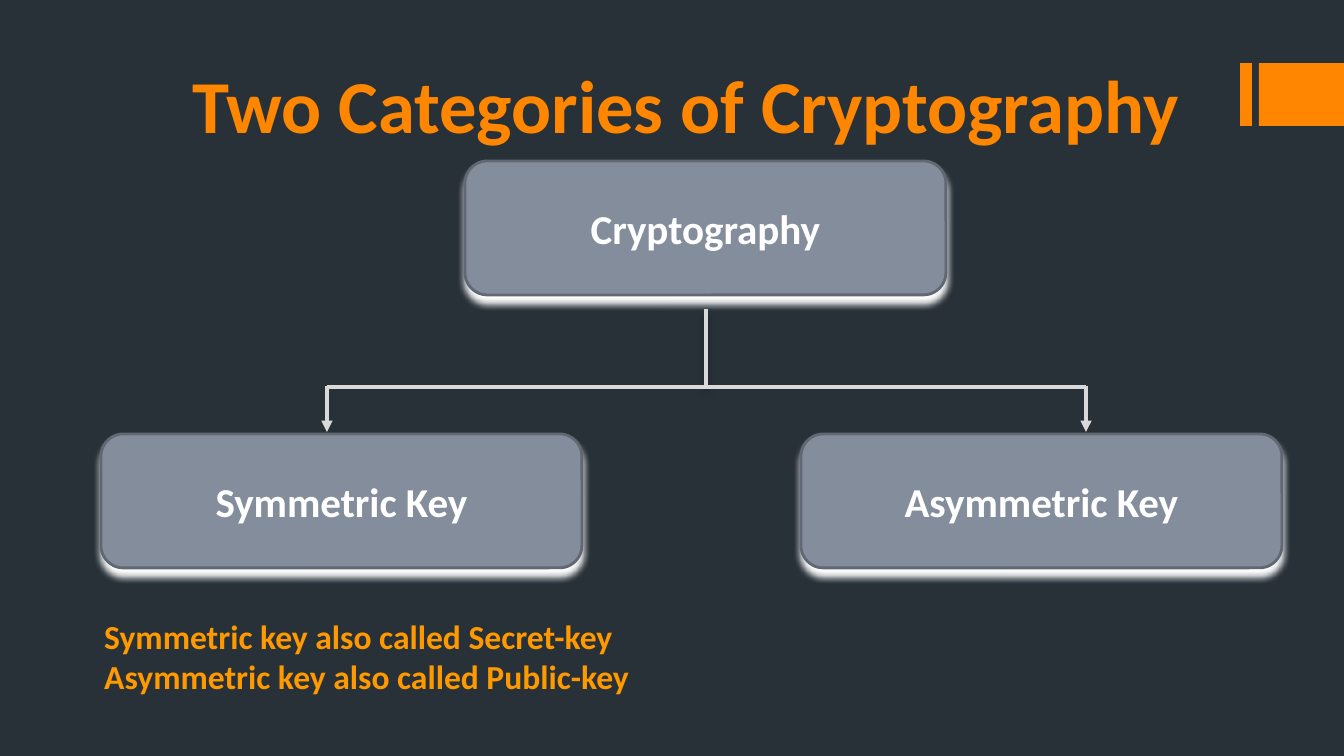
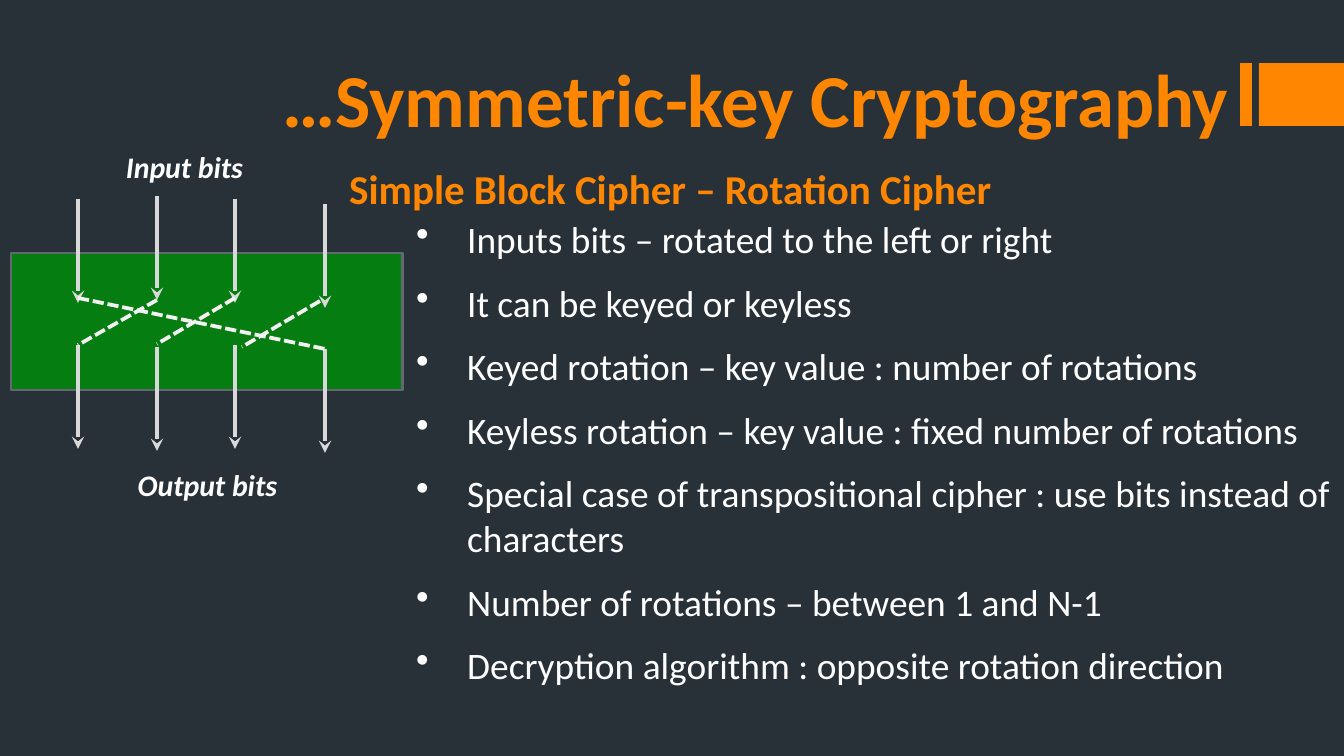
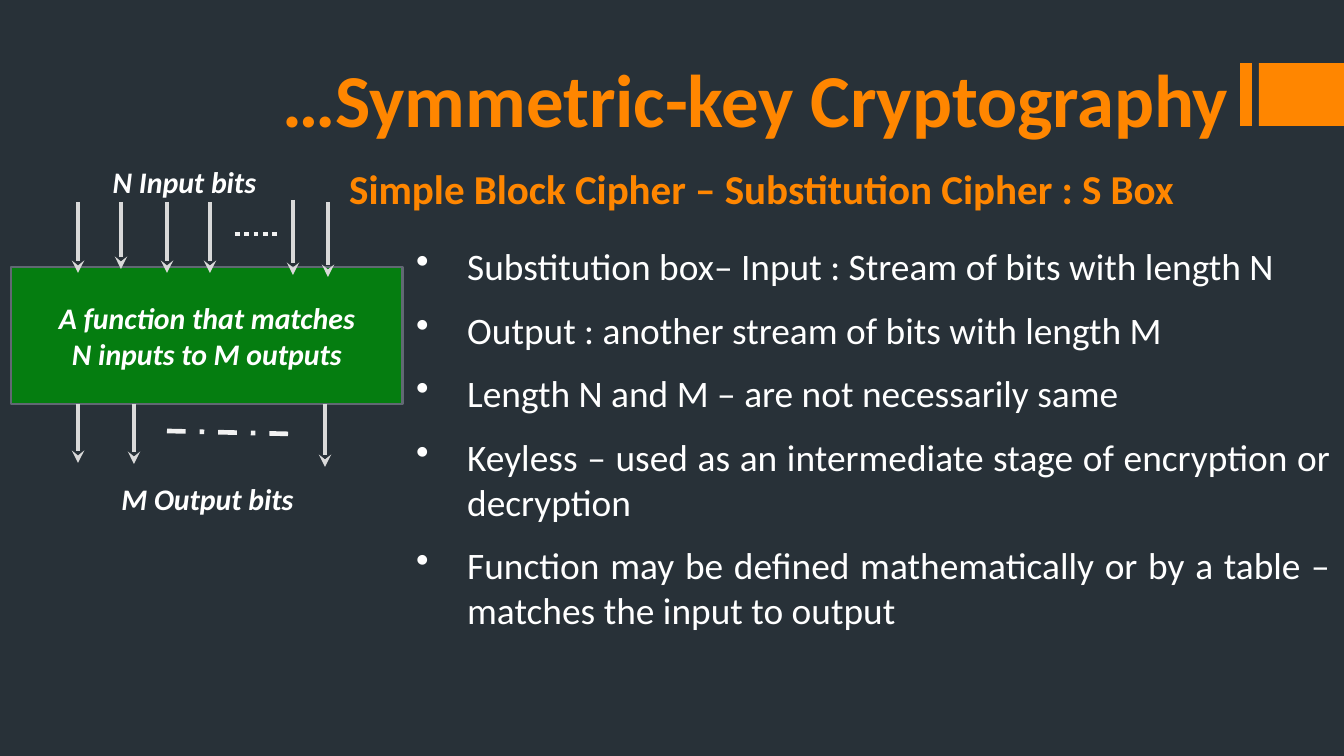
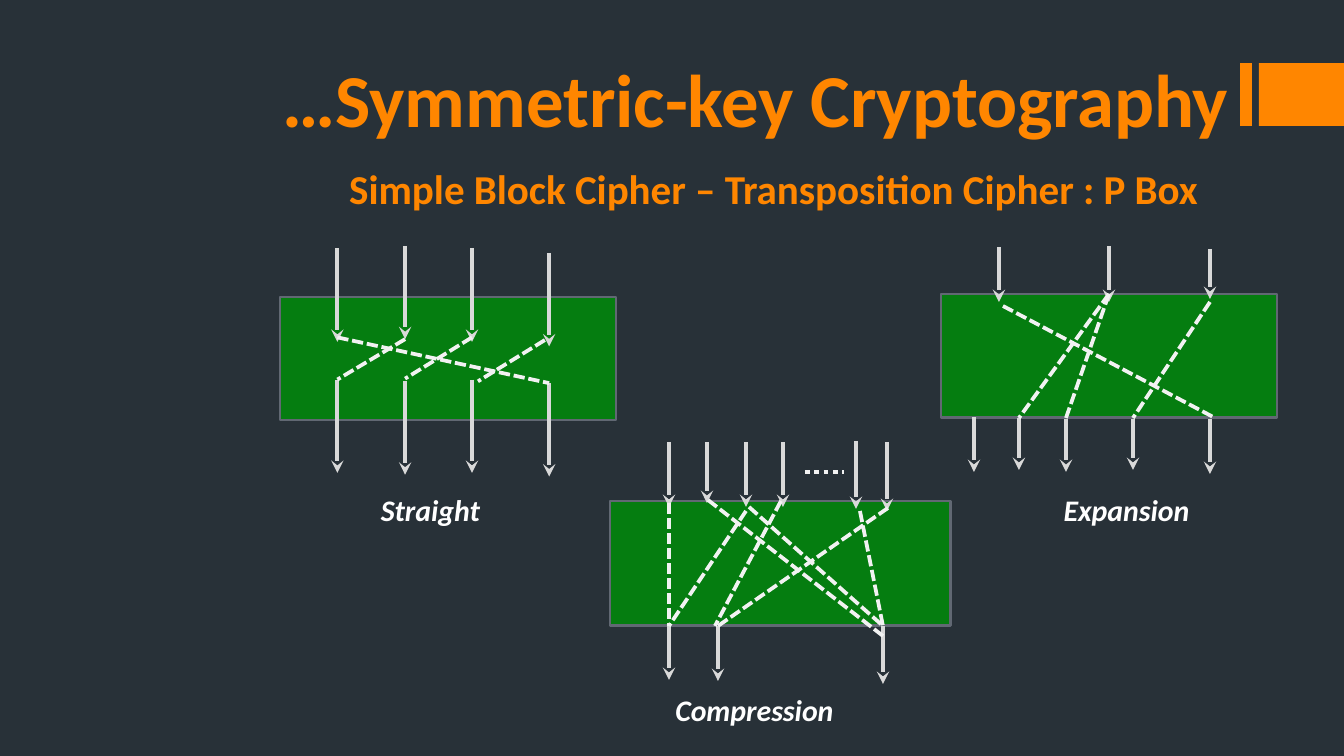
import lxml.etree
import pptx
import pptx.dml.color
import pptx.enum.dml
import pptx.enum.shapes
import pptx.enum.text
import pptx.oxml.ns
import pptx.util

PX = 914400 / 134.4
FONT = "Calibri"
BACKGROUND, ORANGE, AMBER, WHITE = "283138", "FF8600", "FF9900", "FFFFFF"
GREEN, SLATE, OUTLINE = "057D10", "838D9B", "616873"
ARROW, WIRE = "D9D9D9", "F2F2F2"

SHAPE = pptx.enum.shapes.MSO_SHAPE
DASH = pptx.enum.dml.MSO_LINE
ALIGN = pptx.enum.text.PP_ALIGN
ANCHOR = pptx.enum.text.MSO_ANCHOR
qn = pptx.oxml.ns.qn

TITLE_BOX = (179, 46, 1153, 188)
SYMMETRIC_TITLE = "…Symmetric-key Cryptography"
LABEL_HEIGHT = 50


def px(length):
    return pptx.util.Emu(round(length * PX))


def color(value):
    return pptx.dml.color.RGBColor.from_string(value)


def add_shadow(shape, shade, alpha, distance):
    """Drop a soft shadow straight down; lengths in points."""
    properties = shape.element.spPr
    effects = properties.find(qn("a:effectLst"))
    shadow = lxml.etree.SubElement(
        effects, qn("a:outerShdw"), blurRad=str(pptx.util.Pt(4)),
        dist=str(pptx.util.Pt(distance)), dir="5400000", rotWithShape="0")
    tone = lxml.etree.SubElement(shadow, qn("a:srgbClr"), val=shade)
    lxml.etree.SubElement(tone, qn("a:alpha"), val=str(alpha * 1000))


def write(frame, lines, size, shade=WHITE, bold=True, italic=False,
          align=ALIGN.LEFT, anchor=ANCHOR.TOP, bullets=False):
    frame.word_wrap = True
    frame.vertical_anchor = anchor
    for index, line in enumerate(lines):
        paragraph = frame.paragraphs[0] if index == 0 else frame.add_paragraph()
        paragraph.text = line
        paragraph.alignment = align
        if bullets:
            properties = paragraph._p.get_or_add_pPr()
            properties.set("marL", str(px(51)))
            properties.set("indent", str(px(-51)))
            lxml.etree.SubElement(properties, qn("a:buChar"), char="•")
        if index:
            paragraph.space_before = pptx.util.Pt(size / 2)
        font = paragraph.font
        font.name, font.size = FONT, pptx.util.Pt(size)
        font.bold, font.italic = bold, italic
        font.color.rgb = color(shade)


def add_text(parts, box, lines, size, **style):
    write(parts.add_textbox(*map(px, box)).text_frame, lines, size, **style)


def add_box(parts, kind, box, fill, outline=None):
    shape = parts.add_shape(kind, *map(px, box))
    shape.shadow.inherit = False
    shape.fill.solid()
    shape.fill.fore_color.rgb = color(fill)
    if outline:
        shape.line.color.rgb = color(outline)
        shape.line.width = pptx.util.Pt(1.5)
    else:
        shape.line.fill.background()
    return shape


def add_line(parts, start, end, shade, width, dash=None, tail=None):
    line = parts.add_connector(pptx.enum.shapes.MSO_CONNECTOR.STRAIGHT,
                               *map(px, (*start, *end)))
    line.line.color.rgb = color(shade)
    line.line.width = pptx.util.Pt(width)
    if dash:
        line.line.dash_style = dash
    properties = line.element.spPr
    if tail:
        lxml.etree.SubElement(properties.find(qn("a:ln")), qn("a:tailEnd"), type=tail)
    lxml.etree.SubElement(properties, qn("a:effectLst"))
    return line


def new_slide(deck, title, box=TITLE_BOX, **style):
    """Slide with the orange bands and its title."""
    slide = deck.slides.add_slide(deck.slide_layouts[6])
    for left, width in ((1240, 12), (1259, 85)):
        add_box(slide.shapes, SHAPE.RECTANGLE, (left, 63, width, 63), ORANGE)
    add_text(slide.shapes, box, [title], 40, shade=ORANGE, **style)
    return slide


def symmetric_slide(deck, topic, topic_width, bullets=(), bullets_box=None):
    slide = new_slide(deck, SYMMETRIC_TITLE, align=ALIGN.CENTER)
    if bullets:
        add_text(slide.shapes, bullets_box, bullets, 20, bold=False,
                 align=ALIGN.JUSTIFY, bullets=True)
    add_text(slide.shapes, (336, 157, topic_width, 63), [topic], 22, shade=ORANGE)
    return slide


def draw_cipher(slide, box, arrows, wires=(), ellipses=(), labels=(),
                function="", grid=None):
    """Green block with bit arrows (x, top, length), inner wires and labels.

    Arrows and wires are measured on the grid, which is stretched to the box.
    """
    left, top, width, height = box
    grid_width, grid_height = grid or (width, height)
    parts = slide.shapes.add_group_shape().shapes

    def at(x, y):
        return left + x * width / grid_width, top + y * height / grid_height

    block = add_box(parts, SHAPE.RECTANGLE, box, GREEN, OUTLINE)
    if function:
        write(block.text_frame, [function], 16, italic=True,
              align=ALIGN.CENTER, anchor=ANCHOR.MIDDLE)
    for x, y, length in arrows:
        add_line(parts, at(x, y), at(x, y + length), ARROW, 2.25, tail="stealth")
    for x1, y1, x2, y2 in wires:
        add_line(parts, at(x1, y1), at(x2, y2), WIRE, 2, DASH.SQUARE_DOT)
    for x1, y1, x2, y2, dash in ellipses:
        add_line(parts, at(x1, y1), at(x2, y2), WIRE, 2.5, dash)
    for label, x, y, label_width in labels:
        add_text(parts, (left + x, top + y, label_width, LABEL_HEIGHT), [label], 16,
                 italic=True, align=ALIGN.CENTER)


def draw_rotation(slide, box, labels):
    columns = (67, 146, 224, 314)
    inputs = [(x, y, 104) for x, y in zip(columns, (-54, -57, -54, -49))]
    outputs = [(x, y, 104) for x, y in zip(columns, (92, 94, 92, 96))]
    wires = [(146, 47, 67, 92), (224, 45, 146, 91),
             (309, 48, 231, 94), (67, 45, 314, 96)]
    draw_cipher(slide, box, inputs + outputs, wires, labels=labels, grid=(392, 137))


def draw_substitution(slide, box):
    inputs = [(67, -65, 71), (110, -65, 67), (156, -65, 71),
              (199, -65, 71), (282, -67, 75), (317, -65, 75)]
    outputs = [(67, 137, 59), (123, 137, 60), (314, 137, 63)]
    draw_cipher(
        slide, box, inputs + outputs,
        ellipses=[(224, -33, 269, -33, DASH.ROUND_DOT),
                  (156, 164, 282, 167, DASH.DASH_DOT)],
        labels=[("N Input bits", 56, -110, 235), ("M Output bits", 79, 207, 235)],
        function="A function that matches\vN inputs to M outputs")


def draw_compression(slide, box):
    inputs = [(59, -59, 65), (97, -59, 61), (136, -59, 65),
              (173, -59, 65), (246, -60, 68), (277, -59, 69)]
    outputs = [(59, 125, 54), (108, 125, 55), (273, 125, 58)]
    wires = [(250, 10, 273, 125), (136, 10, 59, 125), (139, 6, 273, 125),
             (278, 7, 108, 125), (59, 2, 59, 125), (98, -1, 273, 135),
             (171, 0, 105, 125)]
    draw_cipher(slide, box, inputs + outputs, wires,
                ellipses=[(195, -29, 234, -29, DASH.ROUND_DOT)],
                labels=[("Compression", 10, 184, 269)])


def draw_expansion(slide, box):
    inputs = [(58, -47, 55), (168, -48, 56), (269, -45, 50)]
    outputs = [(33, 123, 55), (78, 124, 52), (125, 125, 53),
               (192, 125, 51), (269, 125, 55)]
    wires = [(168, 0, 78, 124), (168, 0, 125, 124),
             (269, 8, 192, 124), (62, 12, 274, 124)]
    draw_cipher(slide, box, inputs + outputs, wires,
                labels=[("Expansion", 51, 191, 269)])


def draw_hierarchy(slide, left, top):
    """Root card joined to its two branches."""
    parts = slide.shapes
    cards = [("Cryptography", 364, 0), ("Symmetric Key", 0, 273),
             ("Asymmetric Key", 700, 273)]
    for name, x, y in cards:
        card = add_box(parts, SHAPE.ROUNDED_RECTANGLE,
                       (left + x, top + y, 481, 134), SLATE, OUTLINE)
        add_shadow(card, WHITE, 99, 4)
        write(card.text_frame, [name], 22, align=ALIGN.CENTER, anchor=ANCHOR.MIDDLE)

    trunk, fork = left + 605, top + 226
    stem = add_line(parts, (trunk, top + 148), (trunk, fork), ARROW, 2)
    add_shadow(stem, "000000", 28, 3)
    for branch in (trunk - 379, trunk + 380):
        add_line(parts, (trunk, fork), (branch, fork), ARROW, 2)
        add_line(parts, (branch, fork - 1), (branch, top + 271), ARROW, 2,
                 tail="triangle")


def categories_slide(deck):
    slide = new_slide(deck, "Two Categories of Cryptography",
                      (179, 0, 1120, 155), anchor=ANCHOR.BOTTOM)
    add_text(slide.shapes, (91, 609, 1231, 95),
             ["Symmetric key also called Secret-key\v"
              "Asymmetric key also called Public-key"], 18, shade=AMBER)
    draw_hierarchy(slide, 101, 161)


def rotation_slide(deck):
    slide = symmetric_slide(
        deck, "Simple Block Cipher – Rotation Cipher", 700,
        ["Inputs bits – rotated to the left or right",
         "It can be keyed or keyless",
         "Keyed rotation – key value : number of rotations",
         "Keyless rotation – key value : fixed number of rotations",
         "Special case of transpositional cipher : use bits instead of characters",
         "Number of rotations – between 1 and N-1",
         "Decryption algorithm : opposite rotation direction"],
        (403, 210, 941, 579))
    draw_rotation(slide, (11, 253, 392, 137),
                  [("Input bits", 56, -111, 235), ("Output bits", 79, 207, 235)])


def substitution_slide(deck):
    slide = symmetric_slide(
        deck, "Simple Block Cipher – Substitution Cipher : S Box", 874,
        ["Substitution box– Input : Stream of bits with length N",
         "Output : another stream of bits with length M",
         "Length N and M – are not necessarily same",
         "Keyless – used as an intermediate stage of encryption or decryption",
         "Function may be defined mathematically or by a table – "
         "matches the input to output"],
        (403, 237, 941, 489))
    draw_substitution(slide, (11, 267, 392, 137))


def transposition_slide(deck):
    slide = symmetric_slide(
        deck, "Simple Block Cipher – Transposition Cipher : P Box", 930)
    draw_rotation(slide, (280, 297, 336, 123), [("Straight", 16, 188, 269)])
    draw_compression(slide, (610, 501, 341, 125))
    draw_expansion(slide, (941, 294, 336, 124))


def main():
    deck = pptx.Presentation()
    deck.slide_width, deck.slide_height = px(1344), px(756)
    backdrop = deck.slide_master.background.fill
    backdrop.solid()
    backdrop.fore_color.rgb = color(BACKGROUND)
    for build in (categories_slide, rotation_slide,
                  substitution_slide, transposition_slide):
        build(deck)
    deck.save("out.pptx")


if __name__ == "__main__":
    main()
